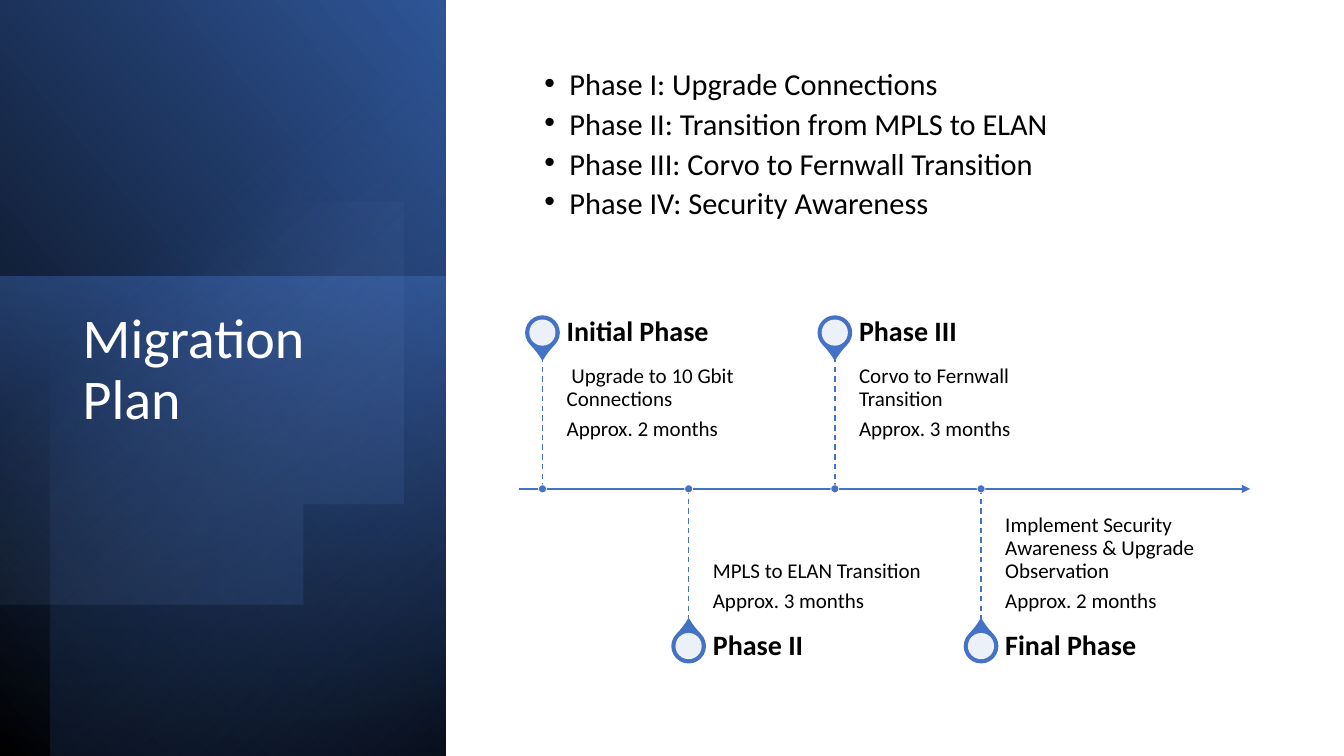
import math

import pptx
import pptx.dml.color
import pptx.enum.dml
import pptx.enum.shapes
import pptx.enum.text
import pptx.oxml
import pptx.oxml.ns
import pptx.util
from pptx.util import Inches, Pt

SHAPE = pptx.enum.shapes.MSO_SHAPE
ANCHOR = pptx.enum.text.MSO_ANCHOR
NAMESPACE = pptx.oxml.ns.nsdecls("a")
BLUE, WHITE, BLACK = "4472C4", "FFFFFF", "000000"


def color(value):
    return pptx.dml.color.RGBColor.from_string(value)


def write(box, lines, size, ink, bold=False, spacing=0.9, before=0, after=0):
    frame = box.text_frame
    frame.word_wrap = True
    frame.auto_size = pptx.enum.text.MSO_AUTO_SIZE.NONE
    frame.text = "\n".join(lines)
    for para in frame.paragraphs:
        para.alignment = pptx.enum.text.PP_ALIGN.LEFT
        para.line_spacing = spacing
        para.space_before = Pt(before)
        para.space_after = Pt(after)
        for span in para.runs:
            span.font.name = "Calibri"
            span.font.size = Pt(size)
            span.font.bold = bold
            span.font.color.rgb = color(ink)
    return frame


deck = pptx.Presentation()
deck.slide_width = Inches(13.33)
deck.slide_height = Inches(7.5)
page = deck.slides.add_slide(deck.slide_layouts[5])
shapes = page.shapes

panels = [
    ((-1.55, 1.55, 7.52, 4.42), 90, True, 310, [(0, BLACK, 100), (100, "2F5597", 100)]),
    ((-0.17, 2.91, 4.76, 4.42), 270, False, 190, [(0, BLUE, 50), (100, "203864", 0)]),
    ((-1.29, 1.79, 7.5, 3.92), 270, True, 220, [(0, BLACK, 59), (69, BLUE, 0)]),
]
backdrop = []
for place, rotation, flipped, angle, stops in panels:
    panel = shapes.add_shape(SHAPE.RECTANGLE, *map(Inches, place))
    panel.rotation = rotation
    if flipped:
        panel.element.spPr.find(pptx.oxml.ns.qn("a:xfrm")).set("flipH", "1")
    backdrop.append((panel, angle, stops))

center_x, center_y, radius = 1.45, 3.47, 2.62
sweep = math.acos(-center_x / radius)
arc = []
for step in range(121):
    theta = sweep * (step / 60 - 1)
    arc.append((center_x + radius * math.cos(theta), center_y + radius * math.sin(theta)))
builder = shapes.build_freeform(*arc[0], scale=Inches(1))
builder.add_line_segments(arc[1:], close=True)
backdrop.append((builder.convert_to_shape(), 51.6, [(39, "8FAADC", 0), (100, "2F5597", 26)]))

for shape, angle, stops in backdrop:
    shape.shadow.inherit = False
    shape.line.fill.background()
    shape.fill.background()
    stop_xml = "".join(
        f'<a:gs pos="{position * 1000}"><a:srgbClr val="{value}">'
        f'<a:alpha val="{opacity * 1000}"/></a:srgbClr></a:gs>'
        for position, value, opacity in stops
    )
    gradient = pptx.oxml.parse_xml(
        f'<a:gradFill {NAMESPACE} rotWithShape="1"><a:gsLst>{stop_xml}</a:gsLst>'
        f'<a:lin ang="{round(angle * 60000)}" scaled="0"/></a:gradFill>'
    )
    properties = shape.element.spPr
    properties.replace(properties.find(pptx.oxml.ns.qn("a:noFill")), gradient)

title = shapes.title
title.left, title.top, title.width, title.height = map(Inches, (0.72, 3.03, 3.15, 3.36))
write(title, ["Migration Plan"], 40, WHITE).vertical_anchor = ANCHOR.TOP
title.element.getparent().append(title.element)

phases = [
    "Phase I: Upgrade Connections",
    "Phase II: Transition from MPLS to ELAN",
    "Phase III: Corvo to Fernwall Transition",
    "Phase IV: Security Awareness",
]
overview = shapes.add_textbox(*map(Inches, (5.3, 0.7, 7.13, 1.58)))
overview_frame = write(overview, phases, 21.7, BLACK, spacing=0.7, before=10)
overview_frame.vertical_anchor = ANCHOR.TOP
for para in overview_frame.paragraphs:
    settings = para._p.get_or_add_pPr()
    settings.set("marL", str(Inches(0.25)))
    settings.set("indent", str(-Inches(0.25)))
    settings.append(pptx.oxml.parse_xml(f'<a:buFont {NAMESPACE} typeface="Arial"/>'))
    settings.append(pptx.oxml.parse_xml(f'<a:buChar {NAMESPACE} char="•"/>'))

axis_y = 4.85
milestones = [
    ("Initial Phase", [" Upgrade to 10 Gbit Connections", "Approx. 2 months"]),
    ("Phase II", ["MPLS to ELAN Transition", "Approx. 3 months"]),
    ("Phase III", ["Corvo to Fernwall Transition", "Approx. 3 months"]),
    ("Final Phase", ["Implement Security Awareness & Upgrade Observation", "Approx. 2 months"]),
]
lines = [(5.15, axis_y, 12.4, axis_y, 1.5)]
for index in range(len(milestones)):
    x = 5.38 + 1.45 * index
    lines.append((x, axis_y, x, 6.18 if index % 2 else 3.53, 1))

for x1, y1, x2, y2, weight in lines:
    connector = shapes.add_connector(
        pptx.enum.shapes.MSO_CONNECTOR.STRAIGHT, *map(Inches, (x1, y1, x2, y2))
    )
    connector.line.color.rgb = color(BLUE)
    connector.line.width = Pt(weight)
    if y1 == y2:
        connector.line._get_or_add_ln().append(
            pptx.oxml.parse_xml(f'<a:tailEnd {NAMESPACE} type="triangle"/>')
        )
    else:
        connector.line.dash_style = pptx.enum.dml.MSO_LINE.DASH
    connector.element.spPr.append(pptx.oxml.parse_xml(f"<a:effectLst {NAMESPACE}/>"))

for index, (heading, details) in enumerate(milestones):
    below = index % 2 == 1
    x = 5.38 + 1.45 * index
    pin_y = 6.41 if below else 3.3
    marks = [
        (SHAPE.TEAR, pin_y, 0.33, BLUE, BLUE, 1),
        (SHAPE.OVAL, pin_y, 0.26, WHITE, None, 0),
        (SHAPE.OVAL, axis_y, 0.08, BLUE, WHITE, 0.5),
    ]
    for kind, y, size, fill, outline, weight in marks:
        mark = shapes.add_shape(
            kind, Inches(x - size / 2), Inches(y - size / 2), Inches(size), Inches(size)
        )
        mark.shadow.inherit = False
        mark.fill.solid()
        mark.fill.fore_color.rgb = color(fill)
        if outline:
            mark.line.color.rgb = color(outline)
            mark.line.width = Pt(weight)
        else:
            mark.line.fill.background()
            mark.element.spPr.find(".//" + pptx.oxml.ns.qn("a:srgbClr")).append(
                pptx.oxml.parse_xml(f'<a:alpha {NAMESPACE} val="90000"/>')
            )
        if kind == SHAPE.TEAR:
            mark.adjustments[0] = 1.15
            mark.rotation = 315 if below else 135

    label_x = x + 0.24
    detail_box = shapes.add_textbox(
        *map(Inches, (label_x, axis_y if below else 3.53, 2.41, 1.33))
    )
    detail = write(detail_box, details, 15, BLACK, after=5.25)
    detail.vertical_anchor = ANCHOR.BOTTOM if below else ANCHOR.TOP
    detail.margin_left = 0
    detail.margin_right = Inches(0 if below else 0.1)
    detail.margin_top = Inches(0.16 if below else 0.1)
    detail.margin_bottom = Inches(0.1 if below else 0.16)

    heading_box = shapes.add_textbox(
        *map(Inches, (label_x, 6.18 if below else 3.06, 2.41, 0.47))
    )
    label = write(heading_box, [heading], 20, BLACK, bold=True)
    label.vertical_anchor = ANCHOR.MIDDLE
    label.margin_left = label.margin_top = label.margin_bottom = 0
    label.margin_right = Inches(0.14)

deck.save("out.pptx")
